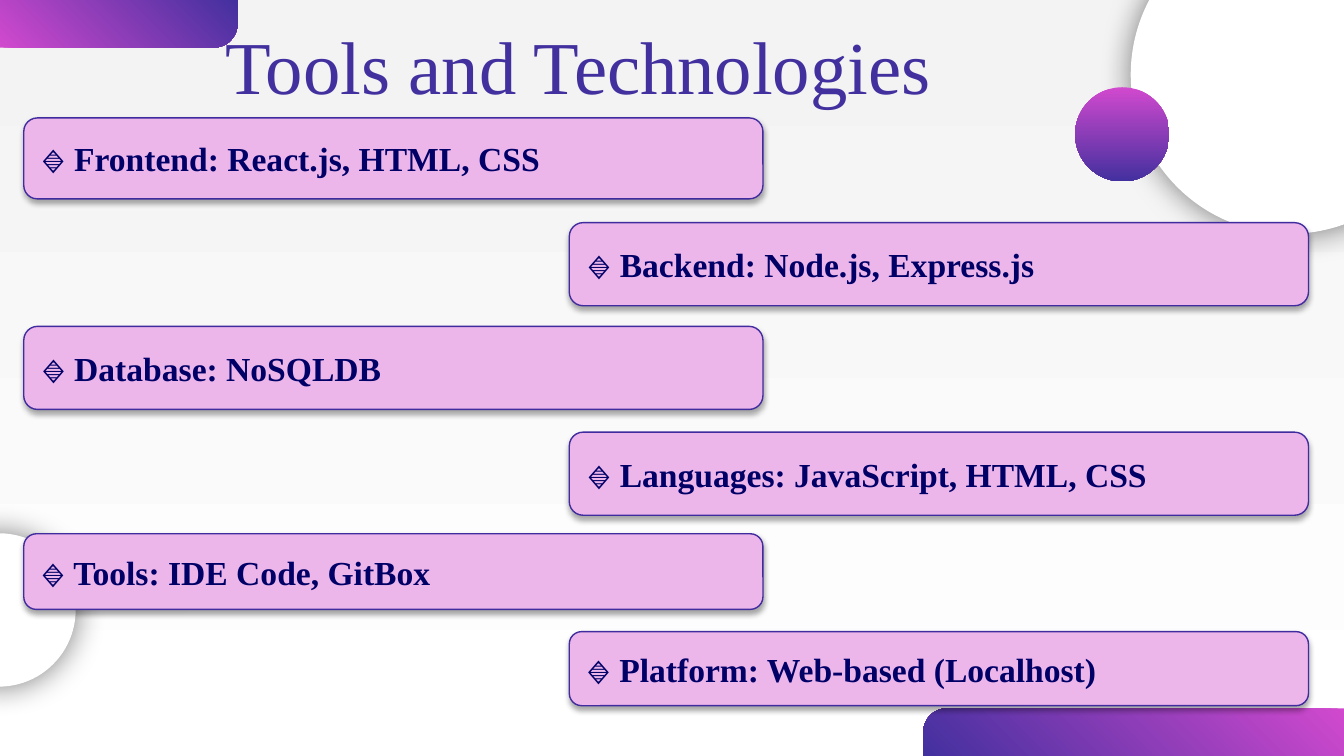
from dataclasses import dataclass

from lxml.etree import SubElement
from pptx import Presentation
from pptx.dml.color import RGBColor
from pptx.enum.shapes import MSO_SHAPE
from pptx.enum.text import MSO_ANCHOR, PP_ALIGN
from pptx.oxml.ns import qn
from pptx.util import Cm, Pt


@dataclass(frozen=True)
class Theme:
    font: str = "Times New Roman"
    title_size: int = 40
    card_size: int = 18
    pink: str = "D149CE"
    purple: str = "43309F"
    card_fill: str = "EDB6EB"
    card_line: str = "402C9E"
    card_text: str = "000066"
    white: str = "FFFFFF"
    grey: str = "F3F3F3"
    black: str = "000000"


class Deck:
    def __init__(self, slide, theme):
        self.slide = slide
        self.theme = theme

    def gradient(self, fill, start, end, clockwise):
        fill.gradient()
        fill.gradient_angle = 360 - clockwise
        for stop, color in zip(fill.gradient_stops, (start, end)):
            stop.color.rgb = RGBColor.from_string(color)

    def background(self):
        self.gradient(self.slide.background.fill, self.theme.white, self.theme.grey, 270)

    def shape(self, kind, left, top, width, height, color=None, angle=0):
        """Add a borderless shape; without a color it gets the accent gradient."""
        shape = self.slide.shapes.add_shape(kind, Cm(left), Cm(top), Cm(width), Cm(height))
        shape.shadow.inherit = False
        shape.line.fill.background()
        if color:
            shape.fill.solid()
            shape.fill.fore_color.rgb = RGBColor.from_string(color)
        else:
            self.gradient(shape.fill, self.theme.pink, self.theme.purple, angle)
        return shape

    def shadow(self, shape, opacity, blur, distance=0, direction=0):
        effects = shape._element.spPr.find(qn("a:effectLst"))
        outer = SubElement(effects, qn("a:outerShdw"), blurRad=str(Pt(blur)),
                           dist=str(Pt(distance)), dir=str(direction * 60000),
                           algn="ctr", rotWithShape="0")
        color = SubElement(outer, qn("a:srgbClr"), val=self.theme.black)
        SubElement(color, qn("a:alpha"), val=str(opacity * 1000))

    def corner_bar(self, left, top, width, height, rotation=0):
        bar = self.shape(MSO_SHAPE.ROUND_1_RECTANGLE, left, top, width, height, angle=45)
        bar.adjustments[0] = 0.5
        bar.rotation = rotation
        bar._element.spPr.xfrm.set("flipH", "1")

    def circle(self, left, top, diameter, color=None):
        circle = self.shape(MSO_SHAPE.OVAL, left, top, diameter, diameter, color, angle=90)
        if color:
            self.shadow(circle, 50, 16.9)

    def label(self, frame, text, size, color, bold=False):
        frame.text = text
        frame.word_wrap = True
        frame.vertical_anchor = MSO_ANCHOR.MIDDLE
        line = frame.paragraphs[0]
        line.alignment = PP_ALIGN.LEFT
        font = line.runs[0].font
        font.name = self.theme.font
        font.size = Pt(size)
        font.bold = bold
        font.color.rgb = RGBColor.from_string(color)

    def title(self, text, left, top, width, height):
        box = self.slide.shapes.add_textbox(Cm(left), Cm(top), Cm(width), Cm(height))
        frame = box.text_frame
        frame.margin_left = frame.margin_right = Cm(0.25)
        frame.margin_top = frame.margin_bottom = Cm(0.25)
        self.label(frame, text, self.theme.title_size, self.theme.purple)

    def card(self, text, left, top, width, height):
        card = self.shape(MSO_SHAPE.ROUNDED_RECTANGLE, left, top, width, height,
                          self.theme.card_fill)
        card.line.color.rgb = RGBColor.from_string(self.theme.card_line)
        card.line.width = Pt(0.75)
        self.shadow(card, 35, 3.1, 1.8, 90)
        self.label(card.text_frame, f"🔹 {text}", self.theme.card_size,
                   self.theme.card_text, bold=True)


def main():
    presentation = Presentation()
    presentation.slide_width = Cm(25.4)
    presentation.slide_height = Cm(14.29)
    deck = Deck(presentation.slides.add_slide(presentation.slide_layouts[6]), Theme())

    # Background and corner bars
    deck.background()
    deck.corner_bar(17.45, 13.39, 7.95, 0.9)
    deck.corner_bar(0, 0, 4.49, 0.9, rotation=180)

    # Title
    deck.title("Tools and Technologies", 4.01, 0.23, 18.85, 1.98)

    # Decorative circles
    deck.circle(21.37, -1.6, 6.02, deck.theme.white)
    deck.circle(20.32, 1.65, 1.78)
    deck.circle(-1.47, 10.08, 2.9, deck.theme.white)

    # Technology cards, alternating between the left and right columns
    columns = (0.45, 10.76)
    technologies = (
        ("Frontend: React.js, HTML, CSS", 2.23, 1.53),
        ("Backend: Node.js, Express.js", 4.21, 1.57),
        ("Database: NoSQLDB", 6.17, 1.57),
        ("Languages: JavaScript, HTML, CSS", 8.17, 1.57),
        ("Tools: IDE Code, GitBox", 10.09, 1.43),
        ("Platform: Web-based (Localhost)", 11.94, 1.4),
    )
    for index, (text, top, height) in enumerate(technologies):
        deck.card(text, columns[index % 2], top, 13.97, height)

    presentation.save("out.pptx")


if __name__ == "__main__":
    main()
